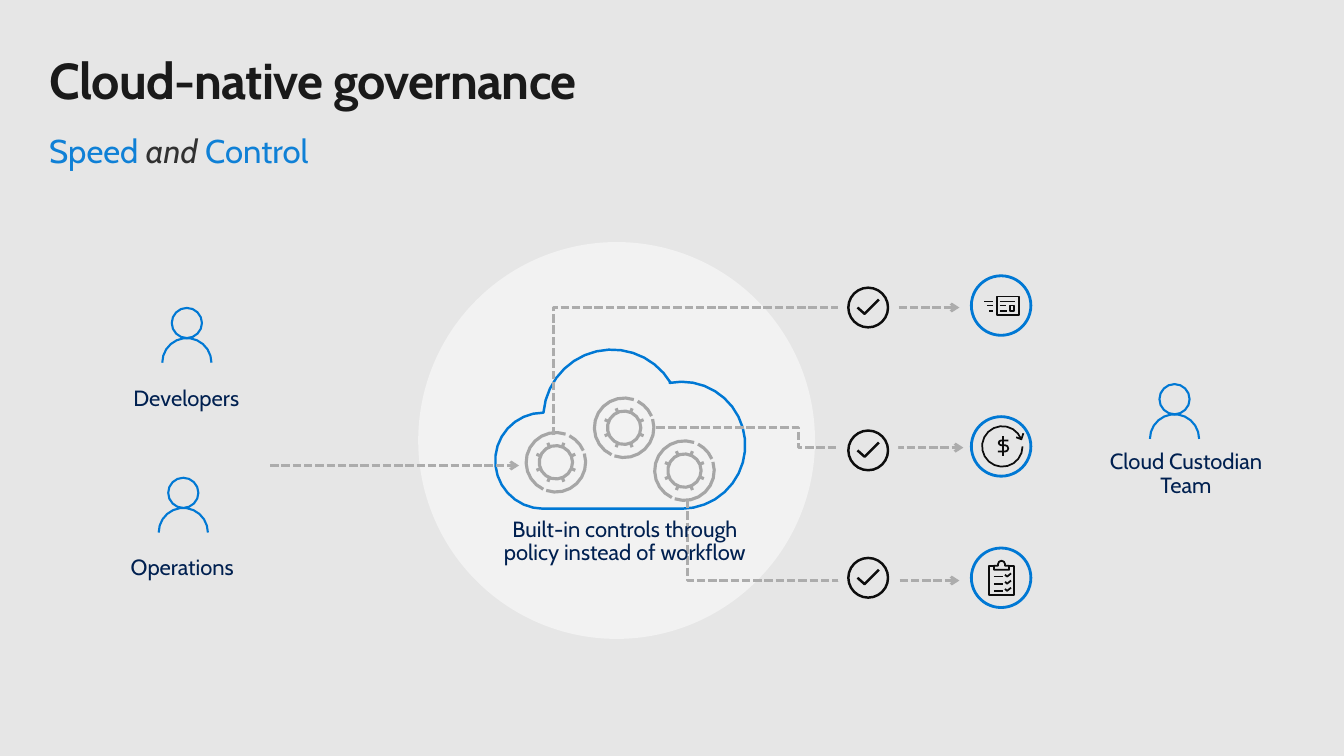
"""Build the cloud-native governance slide."""
import math
from dataclasses import dataclass

import pptx
import pptx.util
import pptx.dml.color
import pptx.enum.dml
import pptx.enum.shapes
import pptx.enum.text
import pptx.oxml.ns
from lxml import etree

Cm = pptx.util.Cm
Pt = pptx.util.Pt


@dataclass(frozen=True)
class Theme:
    """Colours, font and type sizes."""
    font: str = "Cabin"
    page: str = "E6E6E6"
    disc: str = "F2F2F2"
    blue: str = "0078D4"
    accent: str = "0F80D6"
    navy: str = "002050"
    ink: str = "0D0D0D"
    title: str = "1A1A1A"
    body: str = "313131"
    gear: str = "A6A6A6"
    arrow: str = "ACACAC"
    title_size: float = 36
    subtitle_size: float = 23.5
    label_size: float = 15.7


T = Theme()


def rgb(colour):
    """Return a colour object for a hex string."""
    return pptx.dml.color.RGBColor.from_string(colour)


def style(shape, line=None, width=1, fill=None):
    """Set fill and line and drop the shadow."""
    shape.shadow.inherit = False
    if fill:
        shape.fill.solid()
        shape.fill.fore_color.rgb = rgb(fill)
    else:
        shape.fill.background()
    if line:
        shape.line.color.rgb = rgb(line)
        shape.line.width = Pt(width)
    else:
        shape.line.fill.background()


def polar(x, y, radius, angle):
    """Return a point at an angle in degrees clockwise from the right."""
    a = math.radians(angle)
    return round(x + radius * math.cos(a), 4), round(y + radius * math.sin(a), 4)


def arc(x, y, radius, start, end):
    """Return points on an arc, spaced wider on small radii."""
    steps = math.ceil(abs(end - start) * math.sqrt(radius) / 14)
    return [polar(x, y, radius, start + (end - start) * i / steps) for i in range(steps + 1)]


def rect(left, top, right, bottom):
    """Return the closed outline of a rectangle."""
    return [(left, top), (right, top), (right, bottom), (left, bottom), (left, top)]


def outline(shapes, strokes, x=0, y=0):
    """Add one freeform made of strokes placed relative to a point."""
    builder = None
    for stroke in strokes:
        pts = [(Cm(x + dx), Cm(y + dy)) for dx, dy in stroke]
        closed = pts[0] == pts[-1]
        if builder is None:
            builder = shapes.build_freeform(*pts[0])
        else:
            builder.move_to(*pts[0])
        builder.add_line_segments(pts[1:-1] if closed else pts[1:], close=closed)
    return builder.convert_to_shape()


def circle(shapes, x, y, radius, **look):
    """Add a circle around a centre."""
    sp = shapes.add_shape(pptx.enum.shapes.MSO_SHAPE.OVAL, Cm(x - radius),
                          Cm(y - radius), Cm(2 * radius), Cm(2 * radius))
    style(sp, **look)


def write(p, runs, size):
    """Add runs given as text, colour, bold, italic."""
    for text, colour, bold, italic in runs:
        r = p.add_run()
        r.text = text
        r.font.name, r.font.size = T.font, Pt(size)
        r.font.bold, r.font.italic = bold, italic
        r.font.color.rgb = rgb(colour)


def frame(sp, left, top, width, height, inset=(0, 0)):
    """Place a text shape and return its first paragraph."""
    sp.left, sp.top, sp.width, sp.height = Cm(left), Cm(top), Cm(width), Cm(height)
    tf = sp.text_frame
    tf.word_wrap = True
    tf.auto_size = pptx.enum.text.MSO_AUTO_SIZE.SHAPE_TO_FIT_TEXT
    tf.margin_left = tf.margin_right = Cm(inset[0])
    tf.margin_top = tf.margin_bottom = Cm(inset[1])
    tf.vertical_anchor = pptx.enum.text.MSO_ANCHOR.TOP
    return tf.paragraphs[0]


def label(s, text, left, top, width, height):
    """Add a centred caption."""
    sp = s.shapes.add_textbox(0, 0, 0, 0)
    p = frame(sp, left, top, width, height)
    sp.text_frame.vertical_anchor = pptx.enum.text.MSO_ANCHOR.MIDDLE
    p.alignment = pptx.enum.text.PP_ALIGN.CENTER
    p.line_spacing = 0.9
    write(p, [(text, T.navy, False, False)], T.label_size)


def headings(s):
    """Fill the title and add the subtitle."""
    p = frame(s.shapes.title, 1.24, 1.24, 30.61, 1.55)
    p.alignment = pptx.enum.text.PP_ALIGN.LEFT
    write(p, [("Cloud-native governance", T.title, True, False)], T.title_size)
    p.runs[0].font._element.set("spc", "-50")
    p = frame(s.shapes.add_textbox(0, 0, 0, 0), 0.76, 3.02, 29.67, 1.7, (0.48, 0.38))
    p.line_spacing = 0.9
    write(p, [("Speed ", T.accent, False, False), ("and ", T.body, False, True),
              ("Control", T.accent, False, False)], T.subtitle_size)


def cloud(s):
    """Add the pale disc with the cloud on it."""
    shapes = s.shapes.add_group_shape().shapes
    circle(shapes, 15.54, 11.1, 5, fill=T.disc)
    edge = (arc(17.18, 11.22, 1.6, 90, -101) + arc(15.42, 10.54, 1.73, -31, -175)
            + arc(13.69, 11.61, 1.21, -90, -270))
    style(outline(shapes, [edge + edge[:1]]), T.blue, 1.75, T.disc)


def gear(s, x, y):
    """Add a gear with a broken rim and eight teeth."""
    rims = [arc(0, 0, 0.75, a, b) for a, b in ((-71, -245), (109, -17), (-23, -63))]
    teeth = [[polar(0, 0, r, 22.5 + 45 * i) for r in (0.41, 0.53)] for i in range(8)]
    style(outline(s.shapes, [arc(0, 0, 0.42, 0, 360)] + rims + teeth, x, y), T.gear, 2.25)


def person(s, x, y):
    """Add a head and shoulders."""
    strokes = [arc(0, 0, 0.38, 0, 360), arc(0, 1, 0.62, 180, 360)]
    style(outline(s.shapes, strokes, x, y), T.blue, 1.5)


def check(s, x, y):
    """Add a check mark in a circle."""
    shapes = s.shapes.add_group_shape().shapes
    circle(shapes, x, y, 0.76, fill=T.page)
    circle(shapes, x, y, 0.5, line=T.ink, width=1.75)
    style(outline(shapes, [[(-0.27, 0), (-0.09, 0.16), (0.27, -0.2)]], x, y), T.ink, 1.75)


def badge(s, x, y, strokes):
    """Add an icon in a blue ring."""
    shapes = s.shapes.add_group_shape().shapes
    circle(shapes, x, y, 0.99, fill=T.page)
    circle(shapes, x, y, 0.75, line=T.blue, width=2)
    style(outline(shapes, strokes, x, y), T.ink, 1.25)


def card_icon():
    """Return the strokes of a moving card."""
    rows = [(-0.36, -0.2, 0), (-0.43, -0.2, -0.1), (-0.3, -0.2, 0.13),
            (-0.03, 0.13, 0), (-0.03, 0.36, -0.1), (-0.03, 0.15, 0.13)]
    return ([[(a, y), (b, y)] for a, b, y in rows]
            + [rect(-0.1, -0.23, 0.46, 0.23), rect(0.23, 0, 0.33, 0.13)])


def dollar_icon():
    """Return the strokes of a dollar sign in a turning arrow."""
    sign = ([(-0.08, 0.13)] + arc(0.1, 0.05, 0.08, 90, -90)
            + arc(0, -0.09, 0.06, 90, 270) + [(0.18, -0.15)])
    return [arc(0.03, 0, 0.51, 0, 339), [(0.38, -0.23), (0.51, -0.18), (0.56, -0.33)],
            sign, [(0.05, -0.25), (0.05, 0.23)]]


def clipboard_icon():
    """Return the strokes of a checklist."""
    clip = ([(-0.18, -0.2), (-0.18, -0.3), (-0.08, -0.3)] + arc(0.01, -0.34, 0.09, 180, 360)
            + [(0.1, -0.3), (0.2, -0.3), (0.2, -0.2), (-0.18, -0.2)])
    board = [(-0.18, -0.3), (-0.3, -0.3), (-0.3, 0.43), (0.33, 0.43), (0.33, -0.3), (0.2, -0.3)]
    rows = (-0.03, 0.15, 0.33)
    return ([clip, board] + [[(-0.18, y), (0.05, y)] for y in rows]
            + [[(0.1, y - 0.05), (0.15, y), (0.25, y - 0.08)] for y in rows])


def dash(sp):
    """Dash a line and put an arrowhead at its end."""
    qn = pptx.oxml.ns.qn
    sp.line.color.rgb = rgb(T.arrow)
    sp.line.width = Pt(2)
    sp.line.dash_style = pptx.enum.dml.MSO_LINE.SQUARE_DOT
    ln = sp._element.spPr.find(qn("a:ln"))
    etree.SubElement(ln, qn("a:tailEnd"), type="arrow")


def route(s, *pts):
    """Add a dashed arrow with corners."""
    sp = outline(s.shapes, [pts])
    style(sp)
    dash(sp)


def arrow(s, x1, x2, y):
    """Add a straight dashed arrow."""
    c = s.shapes.add_connector(pptx.enum.shapes.MSO_CONNECTOR.STRAIGHT, Cm(x1), Cm(y), Cm(x2), Cm(y))
    dash(c)
    etree.SubElement(c._element.spPr, pptx.oxml.ns.qn("a:effectLst"))


def main():
    """Build and save the slide."""
    prs = pptx.Presentation()
    prs.slide_width, prs.slide_height = Cm(33.87), Cm(19.05)
    s = prs.slides.add_slide(prs.slide_layouts[5])
    s.background.fill.solid()
    s.background.fill.fore_color.rgb = rgb(T.page)
    cloud(s)
    headings(s)
    for y, icon in ((14.56, clipboard_icon), (11.25, dollar_icon), (7.7, card_icon)):
        badge(s, 25.23, y, icon())
    arrow(s, 6.81, 13.08, 11.73)
    for x, y in ((14.01, 11.65), (15.73, 10.78), (17.25, 11.86)):
        gear(s, x, y)
    route(s, (13.94, 10.97), (13.94, 7.75), (24.18, 7.75))
    route(s, (17.32, 12.6), (17.32, 14.63), (24.18, 14.63))
    label(s, "Built-in controls through policy instead of workflow", 12.22, 13.06, 7.06, 1.19)
    route(s, (16.54, 10.77), (20.12, 10.77), (20.12, 11.28), (24.28, 11.28))
    for y in (11.35, 14.56, 7.75):
        check(s, 21.88, y)
    for x, y in ((4.71, 8.14), (4.62, 12.42), (29.6, 10.06)):
        person(s, x, y)
    label(s, "Developers", 2.41, 9.75, 4.57, 0.61)
    label(s, "Operations", 2.31, 14.02, 4.57, 0.61)
    label(s, "Cloud Custodian Team", 27.31, 11.35, 5.16, 1.19)
    prs.save("out.pptx")


if __name__ == "__main__":
    main()
